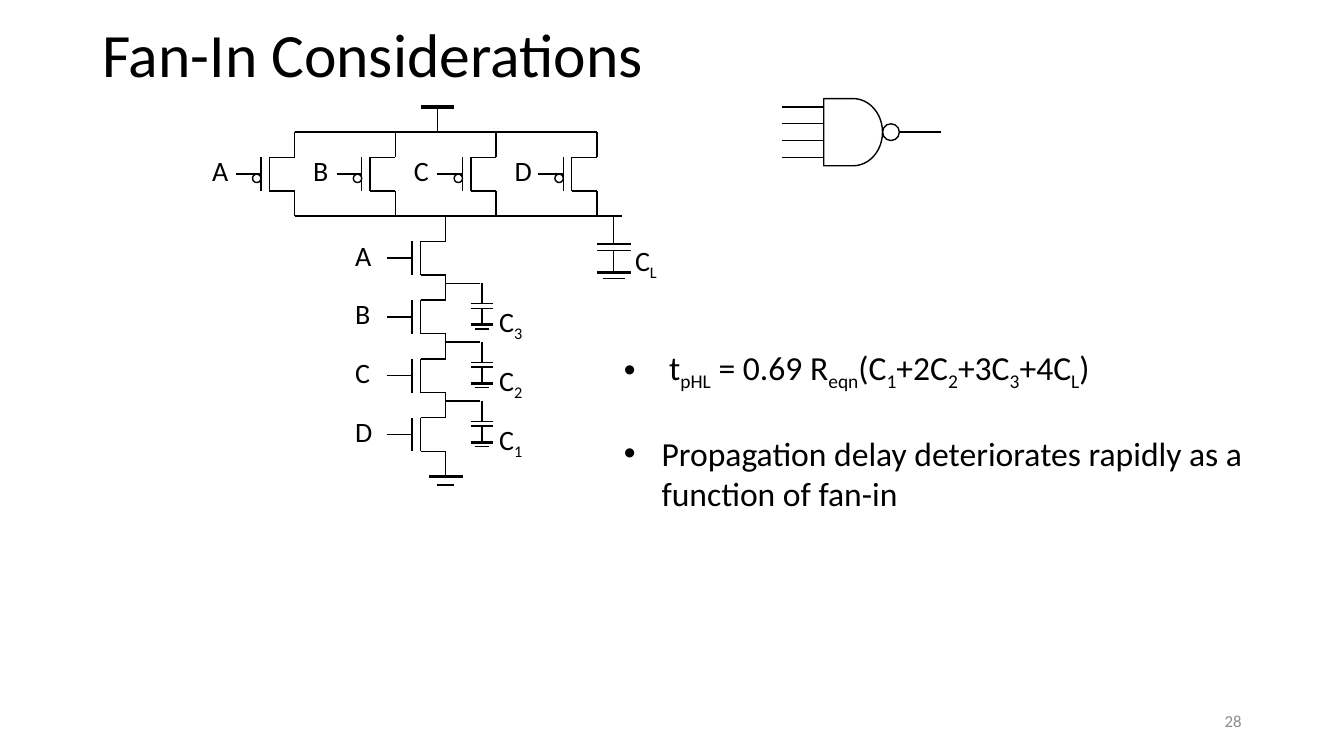
from lxml import etree
from pptx import Presentation
from pptx.dml.color import RGBColor
from pptx.enum.shapes import MSO_CONNECTOR, MSO_SHAPE
from pptx.enum.text import MSO_ANCHOR, PP_ALIGN
from pptx.oxml.ns import qn
from pptx.util import Pt

STRAIGHT = MSO_CONNECTOR.STRAIGHT
OVAL, DELAY = MSO_SHAPE.OVAL, MSO_SHAPE.FLOWCHART_DELAY
TOP, MIDDLE = MSO_ANCHOR.TOP, MSO_ANCHOR.MIDDLE
LEFT, RIGHT = PP_ALIGN.LEFT, PP_ALIGN.RIGHT

COLORS = {"ink": "000000", "muted": "8C8C8C"}
FONT = "Calibri"
THIN, THICK = 1, 2.25
SHIFT = 0.4  # offset of the circuit's 6 pt grid
INPUTS = "ABCD"
PITCH_PMOS, PITCH_NMOS = 72, 42


def color(name):
    return RGBColor.from_string(COLORS[name])


def wire(page, x1, y1, x2, y2, width=THIN):
    line = page.shapes.add_connector(
        STRAIGHT, *(Pt(value + SHIFT) for value in (x1, y1, x2, y2)))
    line.line.color.rgb = color("ink")
    line.line.width = Pt(width)
    etree.SubElement(line._element.spPr, qn("a:effectLst"))


def outline(page, kind, x, y, width, height):
    shape = page.shapes.add_shape(
        kind, Pt(x + SHIFT), Pt(y + SHIFT), Pt(width), Pt(height))
    shape.shadow.inherit = False
    shape.fill.background()
    shape.line.color.rgb = color("ink")
    shape.line.width = Pt(THIN)


def write(para, text, size, ink="ink"):
    """Add runs to a paragraph; every second part between bars is a subscript."""
    for index, part in enumerate(text.split("|")):
        if not part:
            continue
        span = para.add_run()
        span.text = part
        span.font.name = FONT
        span.font.size = Pt(size)
        span.font.color.rgb = color(ink)
        if index % 2:
            span._r.get_or_add_rPr().set("baseline", "-25000")


def text_box(page, x, y, width, height, text, size, ink="ink",
             anchor=TOP, align=LEFT, wrap=True):
    box = page.shapes.add_textbox(Pt(x), Pt(y), Pt(width), Pt(height))
    frame = box.text_frame
    frame.word_wrap = wrap
    frame.vertical_anchor = anchor
    para = frame.paragraphs[0]
    para.alignment = align
    write(para, text, size, ink)
    return frame


def label(page, x, y, text):
    text_box(page, x, y, 34, 31, text, 20, wrap=False)


def bullet(para, indent):
    props = para._p.get_or_add_pPr()
    props.set("marL", str(Pt(indent)))
    props.set("indent", str(-Pt(indent)))
    etree.SubElement(props, qn("a:buFont")).set("typeface", "Arial")
    etree.SubElement(props, qn("a:buChar")).set("char", "•")


def transistor(page, x, y):
    """Channel at x from y to y + 24, gate on the left, source lead below."""
    wire(page, x, y, x + 18, y)
    wire(page, x, y, x, y + 24)
    wire(page, x, y + 24, x + 18, y + 24)
    wire(page, x - 6, y, x - 6, y + 24)
    wire(page, x + 18, y + 24, x + 18, y + 42)
    wire(page, x - 24, y + 12, x - 6, y + 12)


def pmos(page, x, y, name):
    transistor(page, x, y)
    wire(page, x + 18, y - 18, x + 18, y)
    outline(page, OVAL, x - 12, y + 12, 6, 6)
    label(page, x - 47.5, y - 6, name)


def ground(page, x, y, half, inner, gap):
    wire(page, x - half, y, x + half, y, THICK)
    wire(page, x - inner, y + gap, x + inner, y + gap)


def capacitor(page, x, y, name, across=1, down=1):
    half = 12 * across
    plate, lower, base = y + 20 * down, y + 24.5 * down, y + 40.5 * down
    wire(page, x, y, x, plate)
    wire(page, x - half, plate, x + half, plate)
    wire(page, x - half, lower, x + half, lower)
    wire(page, x, lower, x, base)
    ground(page, x, base, half, 8 * across, 4 * down)
    label(page, x + 8.5 * across, y + 16.5 * down, name)


def nand_symbol(page):
    outline(page, DELAY, 588, 70, 42, 48)
    outline(page, OVAL, 630, 88, 12, 12)
    for index in range(len(INPUTS)):
        y = 76 + 12 * index
        wire(page, 558, y, 588, y)
    wire(page, 642, 94, 672, 94)


def circuit(page):
    # Supply and pull-up network
    wire(page, 312, 76, 312, 94)
    wire(page, 300, 76, 324, 76, THICK)
    wire(page, 210, 94, 426, 94)
    for index, name in enumerate(INPUTS):
        pmos(page, 192 + PITCH_PMOS * index, 112, name)

    # Output rail and load
    wire(page, 210, 154, 444, 154)
    capacitor(page, 438, 154, "C|L")

    # Pull-down stack with its internal nodes
    wire(page, 318, 154, 318, 172)
    for index, name in enumerate(INPUTS):
        y = 172 + PITCH_NMOS * index
        transistor(page, 300, y)
        label(page, 246.5, y - 5.5, name)
        node = len(INPUTS) - 1 - index
        if node:
            wire(page, 318, y + 30, 342.5, y + 30)
            capacitor(page, 344, y + 30, f"C|{node}", 0.64, 0.73)
    ground(page, 318, 340, 12, 6, 6)


def delay_notes(page):
    frame = text_box(page, 438.5, 244, 513, 124,
                     " t|pHL| = 0.69 R|eqn|(C|1|+2C|2|+3C|3|+4C|L|)", 24)
    conclusion = frame.add_paragraph()
    conclusion.space_before = Pt(29)
    write(conclusion, "Propagation delay deteriorates rapidly as a "
                      "function of fan-in", 24)
    for para in frame.paragraphs:
        bullet(para, 27)


def main():
    deck = Presentation()
    deck.slide_width, deck.slide_height = Pt(960), Pt(540)
    page = deck.slides.add_slide(deck.slide_layouts[6])

    # Title and page number
    title = text_box(page, 66, 12, 828, 58, "Fan-In Considerations", 44,
                     anchor=MIDDLE)
    title.paragraphs[0].line_spacing = 0.9
    text_box(page, 678, 500.5, 216, 28.75, "28", 12, "muted", MIDDLE, RIGHT)

    # Circuit, gate symbol and delay formula
    circuit(page)
    nand_symbol(page)
    delay_notes(page)
    deck.save("out.pptx")


if __name__ == "__main__":
    main()
